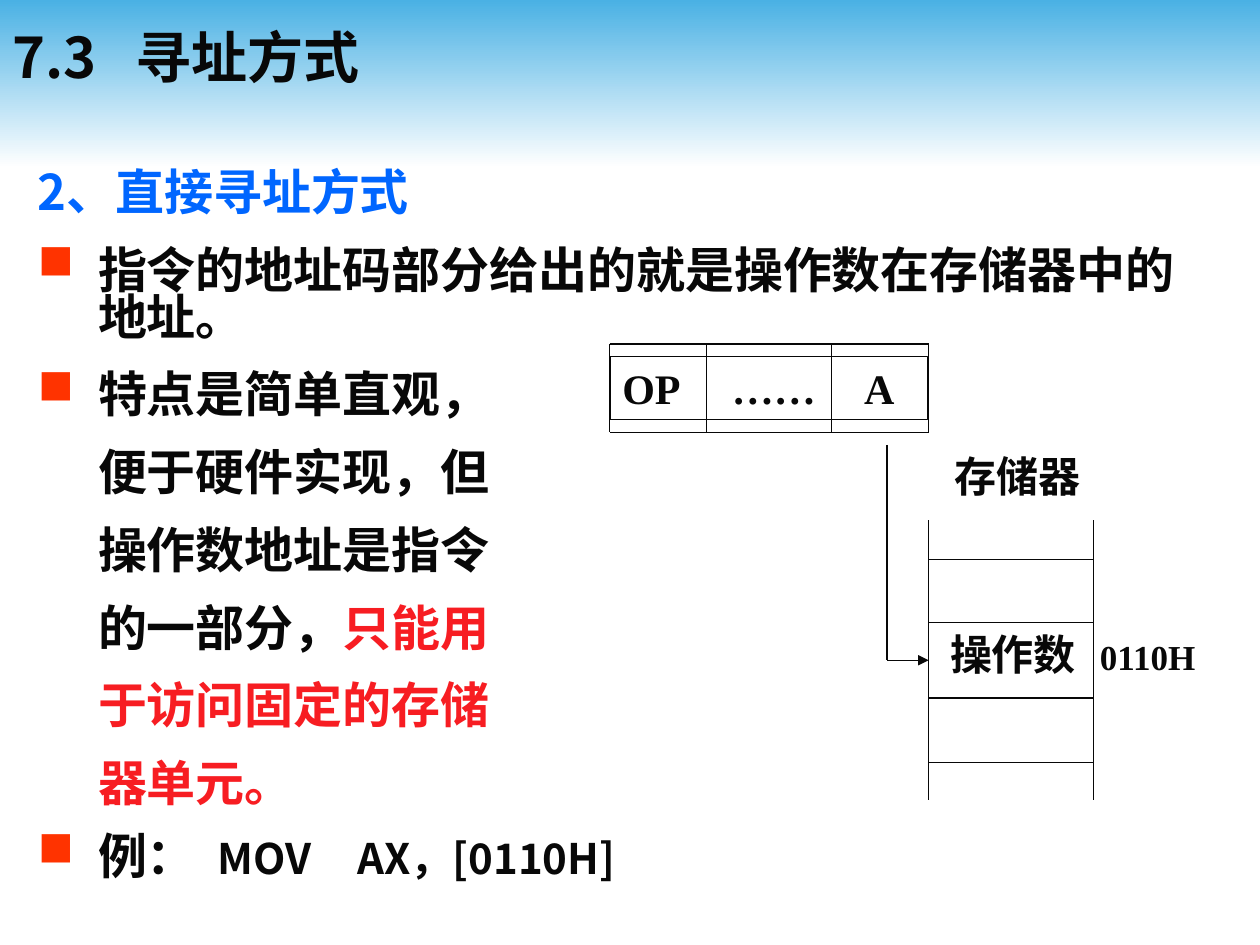
"""Build the slide on direct addressing, with its memory diagram."""
from lxml.etree import SubElement
from pptx import Presentation
from pptx.dml.color import RGBColor
from pptx.enum.shapes import MSO_CONNECTOR, MSO_SHAPE
from pptx.enum.text import MSO_ANCHOR as ANCHOR
from pptx.oxml.ns import qn
from pptx.util import Emu, Pt

PX = 9144
INK = RGBColor(0x08, 0x08, 0x08)
BLUE = RGBColor(0x00, 0x66, 0xFF)
RED = RGBColor(0xF7, 0x1D, 0x22)
SKY = RGBColor(0x4A, 0xB1, 0xE4)
WHITE = RGBColor(0xFF, 0xFF, 0xFF)
SANS, SERIF = "Noto Sans CJK JP", "Times New Roman"


def write(paragraph, pieces, font, tabs=()):
    if tabs:
        tab_list = SubElement(paragraph._p.get_or_add_pPr(), qn("a:tabLst"))
        for stop in tabs:
            SubElement(tab_list, qn("a:tab"), pos=str(stop * PX), algn="l")
    for words, size, color in pieces:
        run = paragraph.add_run()
        run.text = words
        run.font.name, run.font.size, run.font.bold = font, Pt(size), True
        run.font.color.rgb = color
        SubElement(run._r.get_or_add_rPr(), qn("a:ea"), typeface=SANS)


def draw_line(x1, y1, x2, y2):
    line = slide.shapes.add_connector(
        MSO_CONNECTOR.STRAIGHT, *(Emu(v * PX) for v in (x1, y1, x2, y2)))
    line.line.color.rgb, line.line.width = INK, Pt(0.75)
    SubElement(line._element.spPr, qn("a:effectLst"))
    return line


prs = Presentation()
prs.slide_width, prs.slide_height = Emu(1000 * PX), Emu(750 * PX)
slide = prs.slides.add_slide(prs.slide_layouts[6])

banner = slide.shapes.add_shape(MSO_SHAPE.RECTANGLE, 0, 0, Emu(1000 * PX), Emu(133 * PX))
banner.shadow.inherit = False
banner.line.fill.background()
banner.fill.gradient()
banner.fill.gradient_angle = 270
for stop, color in zip(banner.fill.gradient_stops, (SKY, WHITE)):
    stop.color.rgb = color

title = slide.shapes.add_textbox(0, Emu(5 * PX), Emu(1000 * PX), Emu(79 * PX)).text_frame
title.word_wrap = True
title.vertical_anchor = ANCHOR.MIDDLE
write(title.paragraphs[0], [("7.3\t寻址方式", 32, INK)], SANS, [98])

body = slide.shapes.add_textbox(
    Emu(20 * PX), Emu(123 * PX), Emu(953 * PX), Emu(590 * PX)).text_frame
body.word_wrap = True
write(body.paragraphs[0], [("2、直接寻址方式", 28, BLUE)], SANS)

points = [
    (True, 17.5, [("指令的地址码部分给出的就是操作数在存储器中的地址。", 28, INK)], ()),
    (True, 17.5, [("特点是简单直观，", 28, INK)], ()),
    (False, 17.5, [("便于硬件实现，但", 28, INK)], ()),
    (False, 17.5, [("操作数地址是指令", 28, INK)], ()),
    (False, 17.5, [("的一部分，", 28, INK), ("只能用", 28, RED)], ()),
    (False, 17.5, [("于访问固定的存储", 28, RED)], ()),
    (False, 17.5, [("器单元。", 28, RED)], ()),
    (True, 15, [("例：\t", 28, INK), ("MOV\tAX，[0110H]", 24, INK)], (143, 254)),
]
for bulleted, gap, pieces, tabs in points:
    point = body.add_paragraph()
    point.line_spacing, point.space_before = 0.8, Pt(gap)
    props = point._p.get_or_add_pPr()
    props.set("marL", str(48 * PX))
    if bulleted:
        props.set("indent", str(-48 * PX))
        bullet_color = SubElement(props, qn("a:buClr"))
        SubElement(bullet_color, qn("a:srgbClr"), val="FF3300")
        SubElement(props, qn("a:buChar"), char="■")
    write(point, pieces, SANS, tabs)

for x in (484, 561, 660, 737):
    draw_line(x, 273, x, 343)
for y in (273, 343):
    draw_line(484, y, 737, y)

instruction = slide.shapes.add_shape(
    MSO_SHAPE.RECTANGLE, Emu(484 * PX), Emu(283 * PX), Emu(252 * PX), Emu(50 * PX))
instruction.shadow.inherit = False
instruction.fill.background()
instruction.line.color.rgb, instruction.line.width = INK, Pt(0.75)
fields = instruction.text_frame
fields.vertical_anchor = ANCHOR.TOP
fields.paragraphs[0].alignment = 1
write(fields.paragraphs[0], [("OP\t……\tA", 24, INK)], SERIF, [87, 192])

memory = slide.shapes.add_textbox(
    Emu(748 * PX), Emu(353 * PX), Emu(165 * PX), Emu(50 * PX)).text_frame
memory.word_wrap = True
write(memory.paragraphs[0], [("存储器", 24, INK)], SERIF)

operand = slide.shapes.add_textbox(
    Emu(737 * PX), Emu(494 * PX), Emu(263 * PX), Emu(50 * PX)).text_frame
operand.word_wrap = True
operand.margin_left = Emu(17 * PX)
write(operand.paragraphs[0], [("操作数\t", 24, INK), ("0110H", 20, INK)], SERIF, [119])

for x in (737, 868):
    draw_line(x, 413, x, 635)
for y in (444, 494, 554, 605):
    draw_line(737, y, 868, y)

draw_line(704, 353, 704, 524)
pointer = draw_line(704, 524, 737, 524)
SubElement(pointer.line._get_or_add_ln(), qn("a:tailEnd"), type="triangle")

prs.save("out.pptx")
